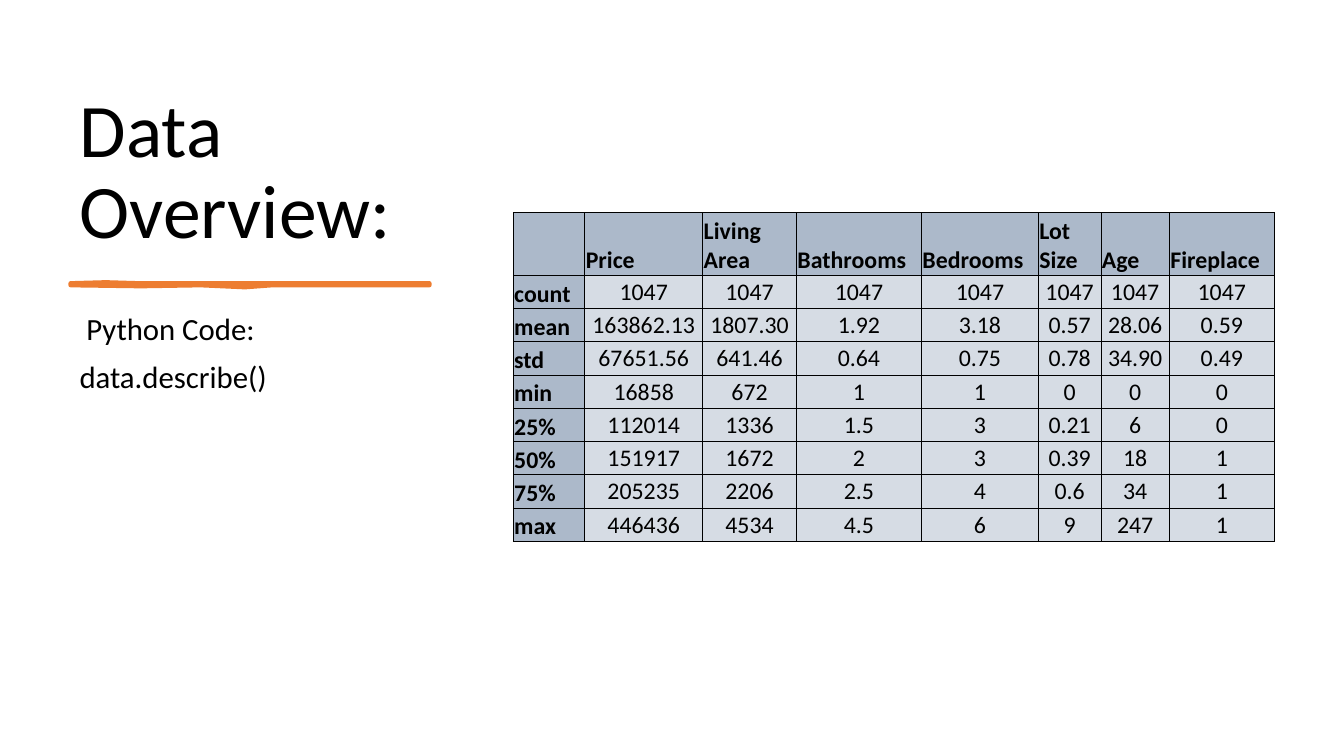
import pptx
import pptx.util
import pptx.dml.color
import pptx.enum.text
import pptx.oxml
import pptx.oxml.ns
from pptx.util import Inches

BLACK = pptx.dml.color.RGBColor(0x00, 0x00, 0x00)
ORANGE = pptx.dml.color.RGBColor(0xED, 0x7D, 0x31)
HEADER_BLUE = pptx.dml.color.RGBColor(0xAC, 0xB9, 0xCA)
VALUE_GREY = pptx.dml.color.RGBColor(0xD6, 0xDC, 0xE4)
FONT = "Calibri"
ALIGN = pptx.enum.text.PP_ALIGN
ANCHOR = pptx.enum.text.MSO_ANCHOR


def format_runs(paragraph, size, bold=False):
    for run in paragraph.runs:
        run.font.name = FONT
        run.font.size = pptx.util.Pt(size)
        run.font.bold = bold
        run.font.color.rgb = BLACK


def add_borders(cell):
    properties = cell._tc.get_or_add_tcPr()
    for position, side in enumerate(("lnL", "lnR", "lnT", "lnB")):
        border = pptx.oxml.parse_xml(
            f'<a:{side} {pptx.oxml.ns.nsdecls("a")} w="6350"><a:solidFill>'
            f'<a:srgbClr val="{BLACK}"/></a:solidFill></a:{side}>')
        properties.insert(position, border)


presentation = pptx.Presentation()
presentation.slide_width = Inches(13.33)
presentation.slide_height = Inches(7.5)
slide = presentation.slides.add_slide(presentation.slide_layouts[5])

# Title
title = slide.shapes.title
title.left, title.top = Inches(0.69), Inches(0.7)
title.width, title.height = Inches(3.75), Inches(1.88)
title.text_frame.text = "Data Overview:"
title.text_frame.word_wrap = True
title.text_frame.auto_size = pptx.enum.text.MSO_AUTO_SIZE.NONE
title.text_frame.vertical_anchor = ANCHOR.BOTTOM
heading = title.text_frame.paragraphs[0]
heading.alignment = ALIGN.LEFT
heading.line_spacing = 0.9
format_runs(heading, 54)

# Hand-drawn rule under the title
upper_edge = [(0.7, 2.81), (1.05, 2.8), (1.38, 2.81), (2.09, 2.81), (2.84, 2.81),
              (3.2, 2.81), (3.59, 2.81), (4.26, 2.81)]
lower_edge = [(4.26, 2.83), (3.5, 2.83), (3.1, 2.83), (2.7, 2.83), (2.43, 2.85),
              (1.99, 2.83), (1.4, 2.84), (0.7, 2.83)]
outline = [(Inches(x), Inches(y)) for x, y in upper_edge + lower_edge]
builder = slide.shapes.build_freeform(*outline[0])
builder.add_line_segments(outline[1:], close=True)
brush_rule = builder.convert_to_shape()
brush_rule.shadow.inherit = False
brush_rule.fill.solid()
brush_rule.fill.fore_color.rgb = ORANGE
brush_rule.line.color.rgb = ORANGE
brush_rule.line.width = pptx.util.Pt(3)

# Code note
code_note = slide.shapes.add_textbox(Inches(0.69), Inches(3.07), Inches(3.75), Inches(3.73))
code_note.text_frame.word_wrap = True
code_note.text_frame.text = " Python Code:\ndata.describe()"
for paragraph in code_note.text_frame.paragraphs:
    paragraph.line_spacing = 0.9
    paragraph.space_before = pptx.util.Pt(10)
    format_runs(paragraph, 22)

# Summary statistics table
statistics = [
    ["", "Price", "Living Area", "Bathrooms", "Bedrooms", "Lot Size", "Age", "Fireplace"],
    ["count"] + ["1047"] * 7,
    ["mean", "163862.13", "1807.30", "1.92", "3.18", "0.57", "28.06", "0.59"],
    ["std", "67651.56", "641.46", "0.64", "0.75", "0.78", "34.90", "0.49"],
    ["min", "16858", "672", "1", "1", "0", "0", "0"],
    ["25%", "112014", "1336", "1.5", "3", "0.21", "6", "0"],
    ["50%", "151917", "1672", "2", "3", "0.39", "18", "1"],
    ["75%", "205235", "2206", "2.5", "4", "0.6", "34", "1"],
    ["max", "446436", "4534", "4.5", "6", "9", "247", "1"],
]
column_widths = [0.71, 1.17, 0.93, 1.24, 1.16, 0.62, 0.68, 1.04]
summary = slide.shapes.add_table(len(statistics), len(column_widths), Inches(5.09),
                                 Inches(2.11), Inches(7.55), Inches(3.28)).table
for column, width in zip(summary.columns, column_widths):
    column.width = Inches(width)
for row_index, values in enumerate(statistics):
    summary.rows[row_index].height = Inches(0.33 if row_index else 0.62)
    for column_index, value in enumerate(values):
        is_header = row_index == 0 or column_index == 0
        cell = summary.cell(row_index, column_index)
        cell.margin_left = cell.margin_right = cell.margin_top = Inches(0.01)
        cell.margin_bottom = 0
        cell.vertical_anchor = ANCHOR.BOTTOM if is_header else ANCHOR.MIDDLE
        cell.fill.solid()
        cell.fill.fore_color.rgb = HEADER_BLUE if is_header else VALUE_GREY
        add_borders(cell)
        cell.text_frame.text = value
        entry = cell.text_frame.paragraphs[0]
        entry.alignment = ALIGN.LEFT if is_header else ALIGN.CENTER
        format_runs(entry, 17, bold=is_header)

presentation.save("out.pptx")
